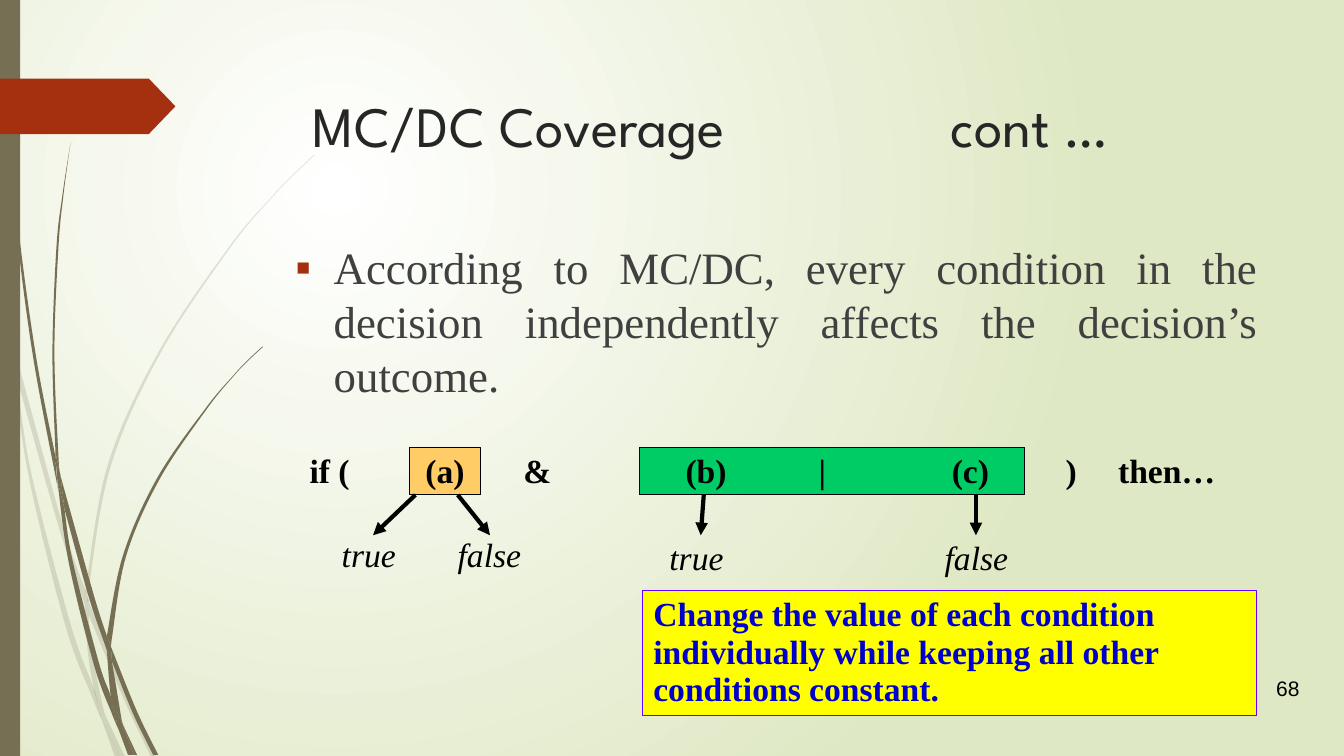
from dataclasses import dataclass

from lxml import etree
from pptx import Presentation
from pptx import util as u
from pptx.dml.color import RGBColor
from pptx.enum import shapes, text
from pptx.oxml import ns

PX = 9144
SERIF = "Times New Roman"
COLOURS = {
    "white": "FFFFFF", "sage": "DFE8C4", "olive": "766F54", "rust": "A53010",
    "title": "262626", "body": "404040", "black": "000000", "green": "00CC66",
    "orange": "FFCC66", "yellow": "FFFF00", "violet": "6600FF", "blue": "0000CC",
}
Point = tuple[int, int]
Edge = list[Point]
Blade = list[Edge]

PALE_BLADES: list[Blade] = [
    [[(11, 350), (9, 322), (0, 282)], [(0, 299), (10, 344)]],
    [[(17, 376), (58, 522), (84, 599)], [(85, 586), (62, 520), (14, 345)]],
    [[(88, 610), (123, 694), (150, 751)], [(155, 751), (127, 692), (92, 607), (88, 596)]],
    [[(124, 751), (105, 711)], [(119, 751)]],
    [[(11, 350), (28, 470), (65, 621), (92, 693), (101, 714)],
     [(99, 707), (93, 683), (70, 619), (31, 469), (17, 376)]],
    [[(84, 599), (87, 646), (93, 683), (96, 692), (105, 711)],
     [(103, 706), (91, 646), (88, 610), (88, 608)]],
    [[(88, 596), (88, 584), (110, 462), (160, 349), (229, 245), (268, 198), (290, 175), (312, 154)],
     [(312, 153), (289, 175), (268, 197), (228, 244), (158, 348), (107, 461), (85, 584), (85, 586)]],
    [[(101, 714), (114, 751)], [(119, 751)]],
    [[(88, 608), (88, 610)], [(88, 596), (85, 586)], [(84, 599)]],
    [[(96, 692), (93, 683)], [(99, 707), (101, 714), (119, 751)], [(105, 711)]],
]
DARK_BLADES: list[Blade] = [
    [[(3, 0), (4, 48), (7, 110), (17, 233), (33, 355), (56, 477), (57, 481)],
     [(55, 457), (55, 453), (36, 355), (19, 232), (8, 109), (5, 48), (4, 0)]],
    [[(64, 505), (88, 592), (106, 645)], [(106, 633), (106, 631), (93, 590), (60, 472)]],
    [[(111, 656), (132, 708), (152, 749)], [(157, 749), (136, 706), (113, 649), (110, 641)]],
    [[(57, 477), (68, 557), (93, 659), (111, 708), (117, 722)],
     [(116, 717), (110, 691), (98, 657), (72, 556), (64, 505)]],
    [[(60, 472), (58, 453), (54, 349), (58, 245), (63, 193), (70, 141)],
     [(70, 141), (62, 193), (56, 245), (52, 349), (55, 449)]],
    [[(122, 719), (133, 749)], [(136, 749)]],
    [[(57, 477), (64, 505)], [(60, 472), (55, 449)], [(55, 453)]],
    [[(111, 633), (125, 552), (158, 476), (205, 406), (231, 374), (245, 359), (261, 344)],
     [(260, 344), (245, 358), (231, 373), (204, 405), (156, 474), (122, 551), (106, 631)], [(110, 641)]],
    [[(117, 722), (127, 749)], [(131, 749)]],
    [[(106, 645), (110, 691), (116, 706), (122, 719)], [(121, 716), (111, 656), (109, 651)]],
    [[(106, 645), (109, 651), (111, 656)], [(110, 641), (106, 631)]],
    [[(116, 706), (110, 691)], [(116, 717), (117, 722), (130, 749)], [(133, 749), (122, 719)]],
]


@dataclass(frozen=True)
class Box:
    left: int
    top: int
    width: int
    height: int

    def emu(self) -> list[int]:
        return [side * PX for side in (self.left, self.top, self.width, self.height)]


@dataclass(frozen=True)
class Style:
    size: float
    colour: str
    font: str = SERIF
    bold: bool = False
    italic: bool = False


@dataclass(frozen=True)
class Outcome:
    word: str
    box: Box
    start: Point
    end: Point


OUTCOMES = [
    Outcome("true", Box(328, 527, 76, 49), (412, 491), (370, 531)),
    Outcome("false", Box(443, 527, 86, 49), (454, 491), (486, 531)),
    Outcome("true", Box(653, 530, 76, 49), (698, 491), (695, 531)),
    Outcome("false", Box(926, 530, 86, 49), (968, 491), (968, 531)),
]


def rgb(name: str) -> RGBColor:
    return RGBColor.from_string(COLOURS[name])


def add_xml(parent, tag: str, **attributes: str):
    return etree.SubElement(parent, ns.qn(tag), attributes)


def paint(shape, fill: str, line: str | None = None) -> None:
    shape.shadow.inherit = False
    shape.fill.solid()
    shape.fill.fore_color.rgb = rgb(fill)
    if line:
        shape.line.color.rgb = rgb(line)
        shape.line.width = u.Pt(0.75)
    else:
        shape.line.fill.background()


def write(shape, words: str, style: Style, spacing: float = 1.0, wrap: bool = True,
          inset: Point = (10, 5), anchor=text.MSO_ANCHOR.TOP):
    frame = shape.text_frame
    frame.text = words
    frame.word_wrap = wrap
    frame.auto_size = text.MSO_AUTO_SIZE.NONE
    frame.vertical_anchor = anchor
    frame.margin_left = frame.margin_right = inset[0] * PX
    frame.margin_top = frame.margin_bottom = inset[1] * PX
    paragraph = frame.paragraphs[0]
    paragraph.alignment = text.PP_ALIGN.LEFT
    paragraph.line_spacing = spacing
    font = paragraph.runs[0].font
    font.name, font.size = style.font, u.Pt(style.size)
    font.bold, font.italic = style.bold, style.italic
    font.color.rgb = rgb(style.colour)
    return paragraph


def set_tabs(paragraph, stops: list[int]) -> None:
    tabs = add_xml(paragraph._p.get_or_add_pPr(), "a:tabLst")
    for stop in stops:
        add_xml(tabs, "a:tab", pos=str(stop * PX), algn="l")


def bend(leaf, blade: Blade) -> None:
    origin_x, origin_y = (min(axis) for axis in zip(*(point for edge in blade for point in edge)))
    segments = iter(leaf._element.spPr.findall(".//" + ns.qn("a:lnTo")))
    for number, edge in enumerate(blade):
        if number:
            next(segments)
        padded = [edge[0], *edge, edge[-1]]
        for before, start, end, after in zip(padded, padded[1:], padded[2:], padded[3:]):
            segment = next(segments)
            if len(edge) == 2:
                continue
            curve = etree.Element(ns.qn("a:cubicBezTo"))
            controls = zip(*((p + (q - o) / 6, q - (r - p) / 6, q)
                             for o, p, q, r in zip(before, start, end, after)))
            for x, y in controls:
                add_xml(curve, "a:pt", x=str(round((x - origin_x) * PX)), y=str(round((y - origin_y) * PX)))
            segment.getparent().replace(segment, curve)


def draw_blade(slide, blade: Blade, alpha: int) -> None:
    outline = [(x * PX, y * PX) for edge in blade for x, y in edge]
    builder = slide.shapes.build_freeform(*outline[0])
    builder.add_line_segments(outline[1:], close=True)
    leaf = builder.convert_to_shape()
    bend(leaf, blade)
    paint(leaf, "olive")
    if alpha < 100:
        add_xml(leaf._element.spPr.find(".//" + ns.qn("a:srgbClr")), "a:alpha", val=str(alpha * 1000))


def draw_block(slide, box: Box, fill: str, line: str | None = None, kind=shapes.MSO_SHAPE.RECTANGLE):
    block = slide.shapes.add_shape(kind, *box.emu())
    paint(block, fill, line)
    return block


def draw_outcome(slide, outcome: Outcome) -> None:
    ends = [value * PX for value in outcome.start + outcome.end]
    arrow = slide.shapes.add_connector(shapes.MSO_CONNECTOR.STRAIGHT, *ends)
    arrow.line.color.rgb = rgb("black")
    arrow.line.width = u.Pt(3)
    add_xml(arrow.line._get_or_add_ln(), "a:tailEnd", type="triangle")
    add_xml(arrow._element.spPr, "a:effectLst")
    label = slide.shapes.add_textbox(*outcome.box.emu())
    write(label, outcome.word, Style(24, "black", italic=True), 0.93, wrap=False, inset=(11, 6))


def draw_background(slide) -> None:
    fill = slide.background.fill
    fill.gradient()
    for stop, name in zip(fill.gradient_stops, ("white", "sage")):
        stop.color.rgb = rgb(name)
    linear = slide._element.find(".//" + ns.qn("a:lin"))
    radial = etree.Element(ns.qn("a:path"), {"path": "circle"})
    add_xml(radial, "a:fillToRect", l="50000", t="50000", r="100000", b="100000")
    linear.getparent().replace(linear, radial)
    for blades, alpha in ((PALE_BLADES, 20), (DARK_BLADES, 100)):
        for blade in blades:
            draw_blade(slide, blade, alpha)
    draw_block(slide, Box(0, 0, 20, 750), "olive")
    flag = draw_block(slide, Box(0, 78, 174, 55), "rust", kind=shapes.MSO_SHAPE.PENTAGON)
    flag.adjustments[0] = 0.48


def draw_statement(slide) -> None:
    title, statement = slide.placeholders
    title.left, title.top, title.width, title.height = Box(300, 85, 975, 140).emu()
    heading = write(title, "MC/DC Coverage\tcont …", Style(40.7, "title", "League Spartan"))
    set_tabs(heading, [633])
    statement.left, statement.top, statement.width, statement.height = Box(283, 233, 975, 413).emu()
    rule = write(statement, "According to MC/DC, every condition in the decision independently "
                 "affects the decision’s outcome.", Style(32, "body"))
    rule.alignment = text.PP_ALIGN.JUSTIFY
    rule.space_before = u.Pt(10)
    properties = rule._p.get_or_add_pPr()
    properties.set("marL", str(38 * PX))
    properties.set("indent", str(-38 * PX))
    add_xml(add_xml(properties, "a:buClr"), "a:srgbClr", val=COLOURS["rust"])
    add_xml(properties, "a:buChar", char="▪")


def draw_decision(slide) -> None:
    draw_block(slide, Box(634, 444, 382, 47), "green", "black")
    draw_block(slide, Box(406, 444, 71, 47), "orange", "black")
    decision = slide.shapes.add_textbox(*Box(296, 444, 935, 49).emu())
    tokens = write(decision, "if (\t(a)\t&\t(b)\t|\t(c)\t)\tthen…", Style(24, "black", bold=True),
                   0.93, inset=(11, 6))
    set_tabs(tokens, [115, 212, 373, 505, 637, 750, 802])
    for outcome in OUTCOMES:
        draw_outcome(slide, outcome)
    advice = draw_block(slide, Box(637, 586, 609, 124), "yellow", "violet")
    write(advice, "Change the value of each condition individually while keeping all other "
          "conditions constant.", Style(24, "blue", bold=True), 0.93, inset=(11, 6))


def main() -> None:
    deck = Presentation()
    deck.slide_width, deck.slide_height = 1333 * PX, 750 * PX
    slide = deck.slides.add_slide(deck.slide_layouts[1])
    draw_background(slide)
    draw_statement(slide)
    draw_decision(slide)
    number = slide.shapes.add_textbox(*Box(1256, 663, 67, 40).emu())
    write(number, "68", Style(15, "black", "Arial"), anchor=text.MSO_ANCHOR.MIDDLE)
    deck.save("out.pptx")


if __name__ == "__main__":
    main()
